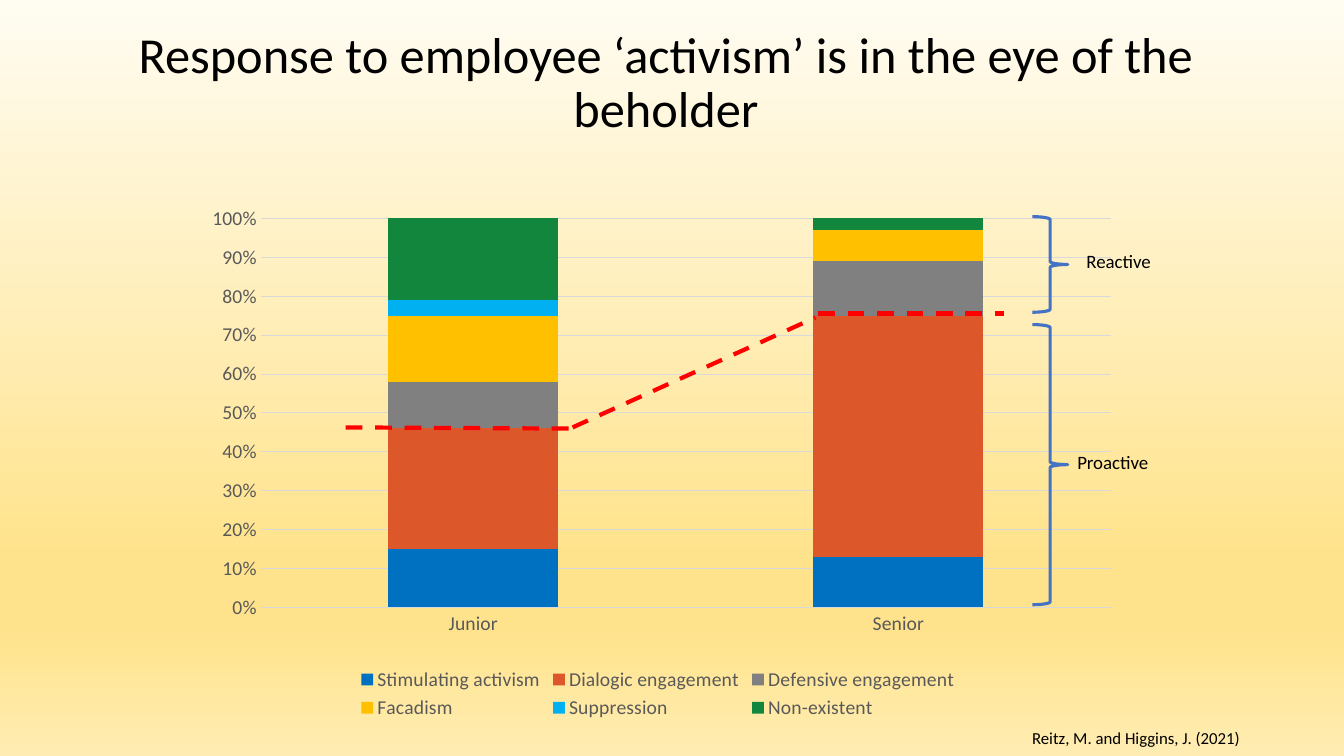
from dataclasses import dataclass

from lxml.etree import SubElement
from pptx import Presentation
from pptx.chart.data import CategoryChartData
from pptx.dml.color import RGBColor
from pptx.enum.chart import XL_CHART_TYPE, XL_LEGEND_POSITION, XL_TICK_MARK
from pptx.enum.dml import MSO_LINE
from pptx.enum.shapes import MSO_CONNECTOR, MSO_SHAPE
from pptx.enum.text import MSO_ANCHOR, MSO_AUTO_SIZE, PP_ALIGN
from pptx.oxml import parse_xml
from pptx.oxml.ns import nsdecls, qn
from pptx.util import Cm, Pt


@dataclass(frozen=True)
class Theme:
    font: str = "Calibri"
    text: str = "000000"
    axis_text: str = "595959"
    grid: str = "D9D9D9"
    divide: str = "FF0000"
    brace: str = "4472C4"
    background: tuple = ((0, "FFFCF2"), (74, "FFE38C"), (83, "FFE38C"), (100, "FFECB2"))
    title_size: float = 36
    chart_size: float = 14
    label_size: float = 13.5
    source_size: float = 12


THEME = Theme()

LEVELS = ("Junior", "Senior")
RESPONSES = (
    ("Stimulating activism", (0.15, 0.13), "0070C0"),
    ("Dialogic engagement", (0.31, 0.62), "DC582A"),
    ("Defensive engagement", (0.12, 0.14), "808080"),
    ("Facadism", (0.17, 0.08), "FFC000"),
    ("Suppression", (0.04, 0), "00B0F0"),
    ("Non-existent", (0.21, 0.03), "13863D"),
)
PLOT_AREA = {"x": 0.076, "y": 0.036, "w": 0.908, "h": 0.742}

# Start and end points in cm
DIVIDING_LINES = (
    (8.71, 10.77, 14.43, 10.8),
    (14.43, 10.77, 20.55, 8.0),
    (20.62, 7.9, 25.3, 7.9),
)
# Brace top and height, label text, label left, top and width in cm
GROUPS = (
    (5.46, 2.41, "Reactive", 27.13, 6.17, 2.16),
    (8.18, 7.06, "Proactive", 26.9, 11.23, 2.34),
)


def rgb(value):
    return RGBColor.from_string(value)


def style_font(font, size, color=THEME.text):
    font.name = THEME.font
    font.size = Pt(size)
    font.color.rgb = rgb(color)


def style_line(line, color, width):
    line.color.rgb = rgb(color)
    line.width = Pt(width)


def paint_background(s):
    fill = s.background.fill
    fill.gradient()
    fill.gradient_angle = 270
    stops = s.element.find(".//" + qn("a:gsLst"))
    for stop in list(stops):
        stops.remove(stop)
    for percent, color in THEME.background:
        stop = SubElement(stops, qn("a:gs"), pos=str(percent * 1000))
        SubElement(stop, qn("a:srgbClr"), val=color)


def set_title(s, text):
    sp = s.shapes.title
    sp.left, sp.top, sp.width, sp.height = Cm(2.13), Cm(0.43), Cm(29.31), Cm(3.38)
    tf = sp.text_frame
    tf.text = text
    tf.word_wrap = True
    tf.auto_size = MSO_AUTO_SIZE.NONE
    tf.vertical_anchor = MSO_ANCHOR.MIDDLE
    p = tf.paragraphs[0]
    p.alignment = PP_ALIGN.CENTER
    p.line_spacing = 0.9
    style_font(p.runs[0].font, THEME.title_size)


def fix_plot_area(chart):
    """Pin the inner plot area to fixed fractions of the chart."""
    plot_area = chart.element.find(".//" + qn("c:plotArea"))
    for old in plot_area.findall(qn("c:layout")):
        plot_area.remove(old)
    modes = '<c:xMode val="edge"/><c:yMode val="edge"/>'
    sizes = "".join(f'<c:{k} val="{v}"/>' for k, v in PLOT_AREA.items())
    plot_area.insert(0, parse_xml(
        f'<c:layout {nsdecls("c")}><c:manualLayout><c:layoutTarget val="inner"/>'
        f"{modes}{sizes}</c:manualLayout></c:layout>"))


def format_axes(chart):
    for axis in (chart.category_axis, chart.value_axis):
        axis.major_tick_mark = axis.minor_tick_mark = XL_TICK_MARK.NONE
        style_font(axis.tick_labels.font, THEME.chart_size, THEME.axis_text)
    style_line(chart.category_axis.format.line, THEME.grid, 0.75)
    values = chart.value_axis
    values.minimum_scale, values.maximum_scale, values.major_unit = 0, 1, 0.1
    values.tick_labels.number_format = "0%"
    values.tick_labels.number_format_is_linked = False
    values.format.line.fill.background()
    style_line(values.major_gridlines.format.line, THEME.grid, 0.75)


def add_response_chart(s):
    data = CategoryChartData(number_format="0%")
    data.categories = LEVELS
    for name, shares, _ in RESPONSES:
        data.add_series(name, shares)
    chart = s.shapes.add_chart(XL_CHART_TYPE.COLUMN_STACKED, Cm(4.78), Cm(5.03),
                               Cm(23.6), Cm(13.21), data).chart
    chart.has_title = False
    style_font(chart.font, THEME.chart_size)
    plot = chart.plots[0]
    plot.gap_width, plot.overlap, plot.vary_by_categories = 150, 100, False
    for series, (_, _, color) in zip(plot.series, RESPONSES):
        series.format.fill.solid()
        series.format.fill.fore_color.rgb = rgb(color)
    format_axes(chart)
    chart.has_legend = True
    chart.legend.position = XL_LEGEND_POSITION.BOTTOM
    chart.legend.include_in_layout = False
    style_font(chart.legend.font, THEME.chart_size, THEME.axis_text)
    fix_plot_area(chart)


def add_dashed_line(s, *ends):
    line = s.shapes.add_connector(MSO_CONNECTOR.STRAIGHT, *map(Cm, ends))
    style_line(line.line, THEME.divide, 3)
    line.line.dash_style = MSO_LINE.DASH
    SubElement(line.element.spPr, qn("a:effectLst"))


def add_brace(s, top, height):
    sp = s.shapes.add_shape(MSO_SHAPE.RIGHT_BRACE, Cm(26.02), Cm(top), Cm(0.89), Cm(height))
    sp.shadow.inherit = False
    sp.fill.background()
    style_line(sp.line, THEME.brace, 2.25)


def add_label(s, text, left, top, width, size, wrap=False):
    tf = s.shapes.add_textbox(Cm(left), Cm(top), Cm(width), Cm(0.84)).text_frame
    tf.word_wrap = wrap
    tf.text = text
    style_font(tf.paragraphs[0].runs[0].font, size)


def main():
    prs = Presentation()
    prs.slide_width, prs.slide_height = Cm(33.87), Cm(19.05)
    s = prs.slides.add_slide(prs.slide_layouts[5])
    paint_background(s)
    set_title(s, "Response to employee ‘activism’ is in the eye of the beholder")
    add_response_chart(s)
    for ends in DIVIDING_LINES:
        add_dashed_line(s, *ends)
    for top, height, *label in GROUPS:
        add_brace(s, top, height)
        add_label(s, *label, THEME.label_size)
    add_label(s, "Reitz, M. and Higgins, J. (2021)", 25.76, 18.21, 8.1,
              THEME.source_size, wrap=True)
    prs.save("out.pptx")


if __name__ == "__main__":
    main()
